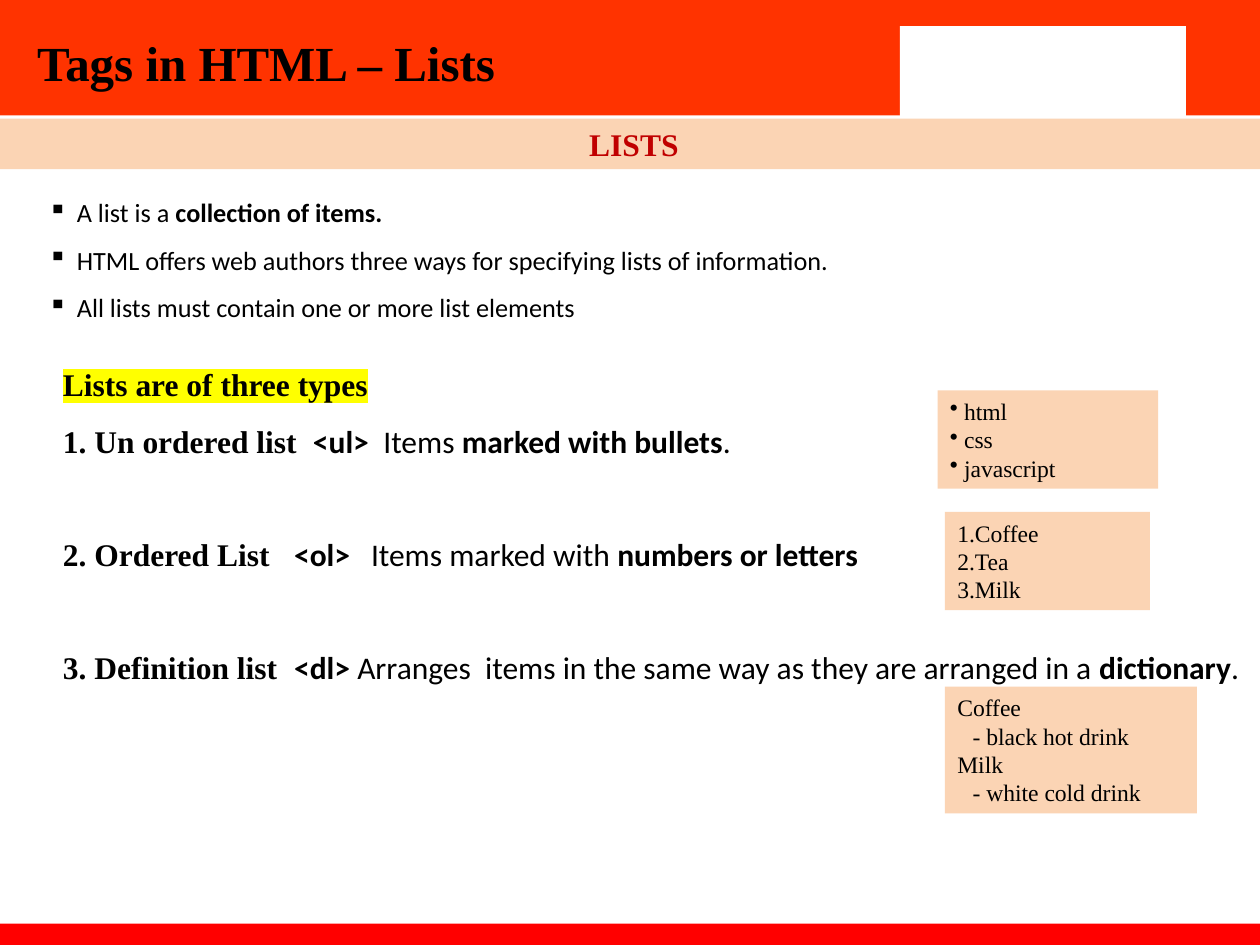
from lxml import etree
from pptx import Presentation
from pptx.dml.color import RGBColor
from pptx.enum.shapes import MSO_SHAPE
from pptx.enum.text import PP_ALIGN
from pptx.oxml.ns import qn
from pptx.util import Cm, Pt

RECT = MSO_SHAPE.RECTANGLE
CENTER = PP_ALIGN.CENTER
SERIF, SANS = "Times New Roman", "Calibri"
COLORS = {
    "header": "FF3300", "footer": "FF0000", "white": "FFFFFF", "peach": "FBD4B4",
    "crimson": "C00000", "black": "000000", "yellow": "FFFF00",
}
PAD = (0.25, 0.13, 0.25, 0.13)


def rgb(name):
    return RGBColor.from_string(COLORS[name])


class SlideBuilder:
    def __init__(self, prs):
        self.s = prs.slides.add_slide(prs.slide_layouts[6])

    def box(self, x, y, w, h, fill):
        """Borderless filled rectangle."""
        sp = self.s.shapes.add_shape(RECT, Cm(x), Cm(y), Cm(w), Cm(h))
        sp.shadow.inherit = False
        sp.fill.solid()
        sp.fill.fore_color.rgb = rgb(fill)
        sp.line.fill.background()
        return self.frame(sp, PAD)

    def text(self, x, y, w, h, insets=PAD):
        """Plain text box."""
        sp = self.s.shapes.add_textbox(Cm(x), Cm(y), Cm(w), Cm(h))
        return self.frame(sp, insets)

    def frame(self, sp, insets):
        tf = sp.text_frame
        tf.word_wrap = True
        (tf.margin_left, tf.margin_top,
         tf.margin_right, tf.margin_bottom) = [Cm(v) for v in insets]
        return tf

    def para(self, tf, indent=None, bullet=None, number=False, tabs=(),
             align=None, spacing=None, before=None):
        """Next paragraph of a frame; the first one is reused while empty."""
        p = tf.paragraphs[0] if not tf.paragraphs[0].runs else tf.add_paragraph()
        pPr = p._p.get_or_add_pPr()
        if indent:
            pPr.set("marL", str(int(Cm(indent[0]))))
            pPr.set("indent", str(int(Cm(indent[1]))))
        if bullet:
            etree.SubElement(pPr, qn("a:buChar"), char=bullet)
        elif number:
            etree.SubElement(pPr, qn("a:buAutoNum"), type="arabicPeriod")
        if tabs:
            stops = etree.SubElement(pPr, qn("a:tabLst"))
            for pos in tabs:
                etree.SubElement(stops, qn("a:tab"), pos=str(int(Cm(pos))), algn="l")
        p.alignment = align if align is not None else PP_ALIGN.LEFT
        if spacing:
            p.line_spacing = spacing
        if before:
            p.space_before = Pt(before)
        return p

    def run(self, p, text, size, font=SERIF, bold=False, color="black", mark=None):
        r = p.add_run()
        r.text = text
        r.font.size = Pt(size)
        r.font.bold = bold
        r.font.color.rgb = rgb(color)
        if mark:
            highlight = etree.SubElement(r._r.get_or_add_rPr(), qn("a:highlight"))
            etree.SubElement(highlight, qn("a:srgbClr"), val=COLORS[mark])
        r.font.name = font


def main():
    prs = Presentation()
    prs.slide_width, prs.slide_height = Cm(25.4), Cm(19.05)
    b = SlideBuilder(prs)

    # Header, white panel and footer
    b.box(0, 0, 25.4, 2.33, "header")
    b.box(0, 18.62, 25.4, 0.43, "footer")
    b.box(18.14, 0.53, 5.77, 1.91, "white")

    # Introductory bullets
    tf = b.text(0, 3.45, 25.4, 3.6, (0, 0.2, 0, 0))
    intro = [
        [("A list is a ", False), ("collection of items.", True)],
        [("HTML offers web authors three ways for specifying lists of information.", False)],
        [("All lists must contain one or more list elements", False)],
    ]
    for parts in intro:
        p = b.para(tf, indent=(1.55, -0.58), bullet="▪", spacing=1.5)
        for text, bold in parts:
            b.run(p, text, 15, SANS, bold)

    # Three list types: label, tag, description, tab stops, space before
    tf = b.text(1.27, 7.36, 24.13, 6.8, (0, 0, 0, 0))
    b.run(b.para(tf), "Lists are of three types", 18, bold=True, mark="yellow")
    types = [
        ("1. Un ordered list\t", "<ul>\t",
         [("Items ", False), ("marked with bullets", True), (".", False)],
         (5.04, 6.46), 0.2),
        ("2. Ordered List\t", "<ol>\t",
         [("Items marked with ", False), ("numbers or letters", True)],
         (4.66, 6.21), 32.2),
        ("3. Definition list\t", "<dl> ",
         [("Arranges  items in the same way as they are arranged in a ", False),
          ("dictionary", True), (".", False)],
         (4.66,), 32.2),
    ]
    for label, tag, parts, tabs, before in types:
        p = b.para(tf, tabs=tabs, spacing=1.5, before=before)
        b.run(p, label, 18, bold=True)
        b.run(p, tag, 18, SANS, True)
        for text, bold in parts:
            b.run(p, text, 18, SANS, bold)

    # Section band
    tf = b.box(0, 2.39, 25.4, 1.02, "peach")
    b.run(b.para(tf, align=CENTER), " LISTS", 18, bold=True, color="crimson")

    # Example boxes: each line with its paragraph style
    dot = {"indent": (0, -0.23), "bullet": "•"}
    numbered = {"indent": (0, -0.23), "number": True}
    detail = {"indent": (1.27, -0.96)}
    examples = [
        ((18.9, 7.87, 4.45, 1.98),
         [(" html", dot), (" css", dot), (" javascript", dot)]),
        ((19.05, 10.32, 4.13, 1.98),
         [("Coffee", numbered), ("Tea", numbered), ("Milk", numbered)]),
        ((19.05, 13.84, 5.08, 2.56),
         [("Coffee", {}), ("- black hot drink", detail),
          ("Milk", {}), ("- white cold drink", detail)]),
    ]
    for place, lines in examples:
        tf = b.box(*place, "peach")
        for text, style in lines:
            b.run(b.para(tf, **style), text, 13.5)

    # Title
    tf = b.text(0.5, 0.53, 12, 1.45)
    b.run(b.para(tf), "Tags in HTML – Lists", 28, bold=True)

    prs.save("out.pptx")


if __name__ == "__main__":
    main()
